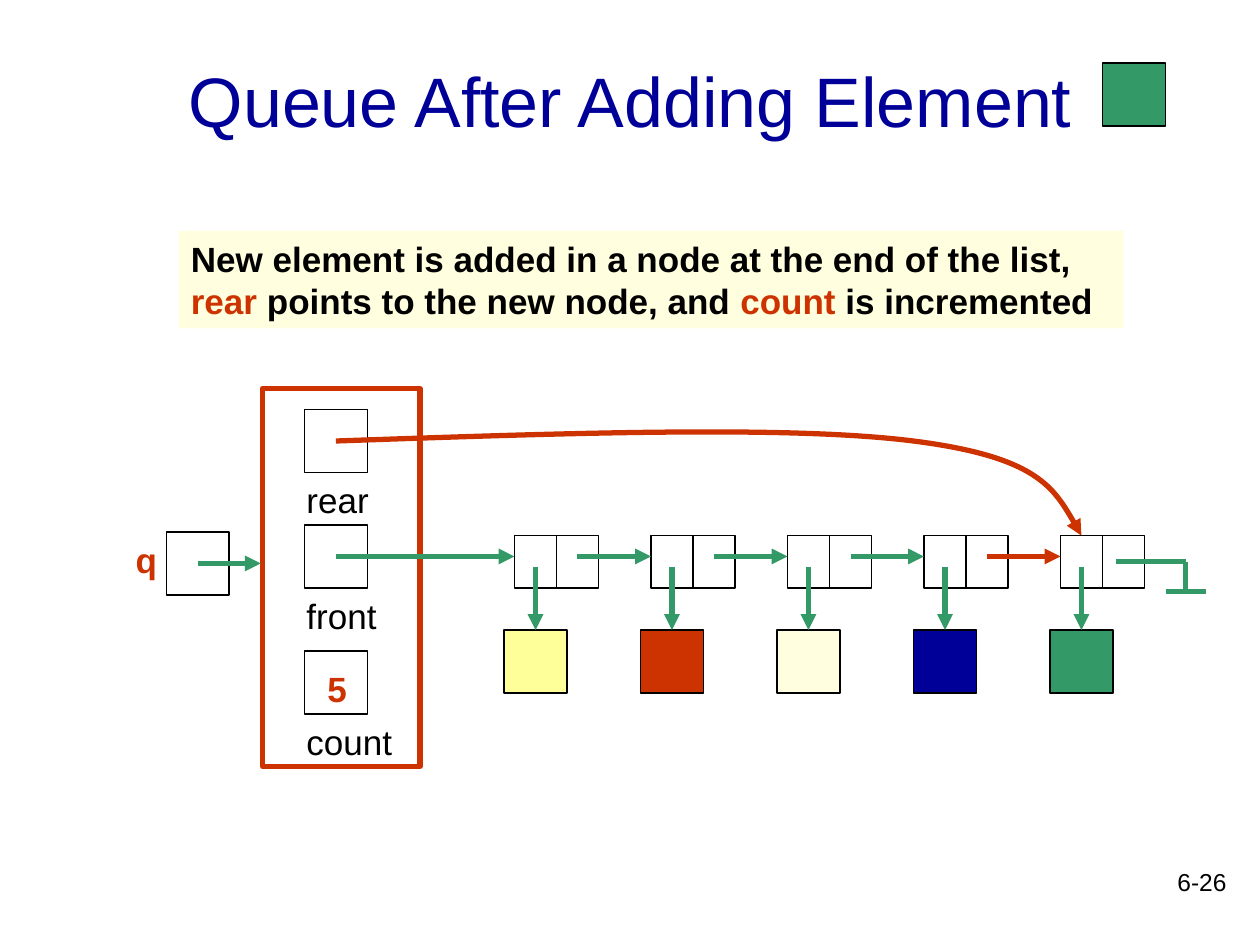
from lxml import etree
from pptx import Presentation
from pptx.dml.color import RGBColor
from pptx.enum.shapes import MSO_CONNECTOR, MSO_SHAPE
from pptx.enum.text import MSO_ANCHOR, PP_ALIGN
from pptx.oxml.ns import qn
from pptx.util import Pt

RECTANGLE = MSO_SHAPE.RECTANGLE
STRAIGHT = MSO_CONNECTOR.STRAIGHT
LEFT, CENTER, RIGHT = PP_ALIGN.LEFT, PP_ALIGN.CENTER, PP_ALIGN.RIGHT
MIDDLE, TOP = MSO_ANCHOR.MIDDLE, MSO_ANCHOR.TOP

COLORS = {
    "black": "000000",
    "blue": "000099",
    "red": "CC3300",
    "green": "339966",
    "yellow": "FFFF99",
    "cream": "FFFFDF",
}
FONT = "Arial"
SQUARE = 36
NODE_PITCH = 78
CELL_WIDTH, CELL_HEIGHT = 24, 30
NODE_LEFT, NODE_TOP = 294, 306
ELEMENT_TOP = 360
LINK_Y = 318

deck = Presentation()
deck.slide_width, deck.slide_height = Pt(720), Pt(540)
page = deck.slides.add_slide(deck.slide_layouts[5])


def add_box(left, top, width, height, fill=None, line="black", weight=0.75):
    box = page.shapes.add_shape(RECTANGLE, Pt(left), Pt(top), Pt(width), Pt(height))
    box.shadow.inherit = False
    if fill:
        box.fill.solid()
        box.fill.fore_color.rgb = RGBColor.from_string(COLORS[fill])
    else:
        box.fill.background()
    if line:
        box.line.color.rgb = RGBColor.from_string(COLORS[line])
        box.line.width = Pt(weight)
    else:
        box.line.fill.background()
    return box


def style_line(shape, color, arrow=True):
    shape.line.color.rgb = RGBColor.from_string(COLORS[color])
    shape.line.width = Pt(3)
    if arrow:
        etree.SubElement(shape.line._get_or_add_ln(), qn("a:tailEnd"), type="triangle")
    if shape._element.spPr.find(qn("a:effectLst")) is None:
        etree.SubElement(shape._element.spPr, qn("a:effectLst"))


title = page.shapes.title
title.left, title.top, title.width, title.height = Pt(54), Pt(12), Pt(612), Pt(90)
banner = add_box(102, 132, 540, 55.5, "cream", None)

add_box(630, 36, SQUARE, SQUARE, "green")
add_box(150, 222, 90, 216, line="red", weight=3)
add_box(95, 304, SQUARE, SQUARE)
for top in (234, 300, 372):
    add_box(174, top, SQUARE, SQUARE)

arrows = [(113, 322, 149, 322, "green"), (192, LINK_Y, NODE_LEFT, LINK_Y, "green")]
element_fills = ["yellow", "red", "cream", "blue", "green"]
last = len(element_fills) - 1
for index, fill in enumerate(element_fills):
    left = NODE_LEFT + index * NODE_PITCH
    middle = left + CELL_WIDTH / 2
    add_box(middle - SQUARE / 2, ELEMENT_TOP, SQUARE, SQUARE, fill)
    for cell in range(2):
        add_box(left + cell * CELL_WIDTH, NODE_TOP, CELL_WIDTH, CELL_HEIGHT)
    arrows.append((middle, 324, middle, ELEMENT_TOP, "green"))
    if index < last:
        link_color = "red" if index == last - 1 else "green"
        arrows.append((middle + CELL_WIDTH, LINK_Y, left + NODE_PITCH, LINK_Y, link_color))

null_mark = [
    (638, 321, 677.5, 321, "green"),
    (677.5, 321, 677.5, 338, "green"),
    (666, 338, 689, 338, "green"),
]
for segment in arrows + null_mark:
    x1, y1, x2, y2, color = segment
    connector = page.shapes.add_connector(STRAIGHT, Pt(x1), Pt(y1), Pt(x2), Pt(y2))
    style_line(connector, color, segment in arrows)

curve_points = [(322, 247.5), (451, 243), (522, 252), (593, 261), (605.5, 283.5), (618, 306)]
builder = page.shapes.build_freeform(Pt(192), Pt(252))
builder.add_line_segments([(Pt(x), Pt(y)) for x, y in curve_points], close=False)
rear_curve = builder.convert_to_shape()
rear_curve.fill.background()
style_line(rear_curve, "red")
outline = rear_curve._element.spPr.find(".//" + qn("a:path"))
segments = outline.findall(qn("a:lnTo"))
for start in (0, 3):
    bezier = etree.SubElement(outline, qn("a:cubicBezTo"))
    for segment in segments[start:start + 3]:
        bezier.append(segment[0])
        outline.remove(segment)

texts = [
    (title, [("Queue After Adding Element", "blue")], 40, False, CENTER, MIDDLE),
    (banner, [
        ("New element is added in a node at the end of the list, ", "black"),
        ("rear", "red"),
        (" points to the new node, and ", "black"),
        ("count", "red"),
        (" is incremented", "black"),
    ], 20, True, LEFT, TOP),
]
labels = [
    (168, 270, 60, 31, "rear", "black", 20, False, LEFT),
    (168, 336, 60, 31, "front", "black", 20, False, LEFT),
    (168, 408, 66, 31, "count", "black", 20, False, LEFT),
    (180, 378, 28, 31, "5", "red", 20, True, LEFT),
    (70.5, 304, 36, 31, "q", "red", 20, True, LEFT),
    (558, 492, 150, 36, "6-26", "black", 14, False, RIGHT),
]
for left, top, width, height, wording, color, size, bold, align in labels:
    label = page.shapes.add_textbox(Pt(left), Pt(top), Pt(width), Pt(height))
    texts.append((label, [(wording, color)], size, bold, align, TOP))

for box, spans, size, bold, align, anchor in texts:
    frame = box.text_frame
    frame.word_wrap = True
    frame.vertical_anchor = anchor
    para = frame.paragraphs[0]
    para.alignment = align
    for wording, color in spans:
        span = para.add_run()
        span.text = wording
        span.font.name = FONT
        span.font.size = Pt(size)
        span.font.bold = bold
        span.font.color.rgb = RGBColor.from_string(COLORS[color])

deck.save("out.pptx")
